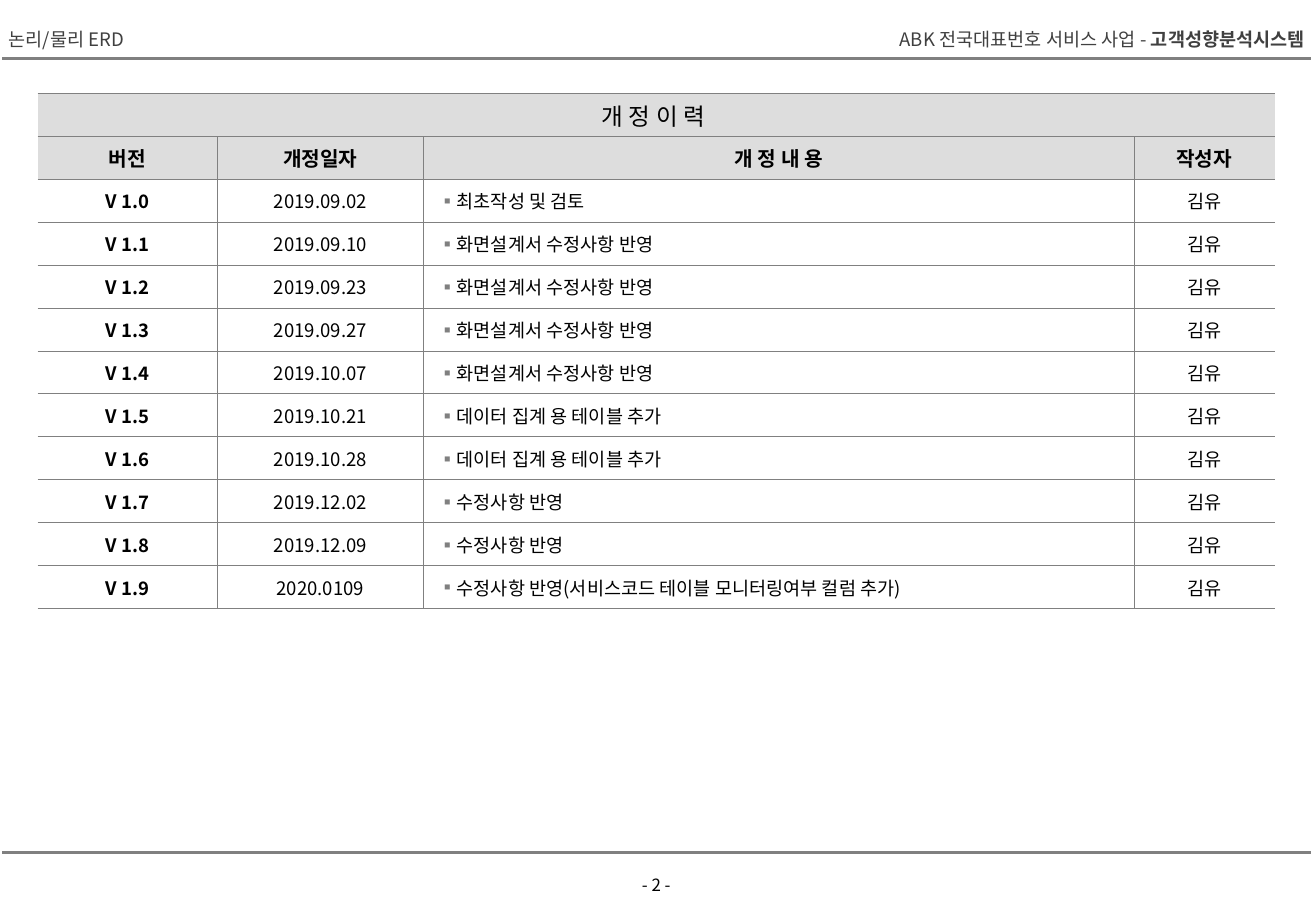
"""Build the revision history slide of an ERD document."""
from lxml import etree
from pptx import Presentation
from pptx.dml.color import RGBColor
from pptx.enum.shapes import MSO_CONNECTOR
from pptx.enum.text import MSO_ANCHOR, MSO_AUTO_SIZE, PP_ALIGN
from pptx.oxml.ns import qn
from pptx.util import Inches, Pt

STRAIGHT = MSO_CONNECTOR.STRAIGHT
TOP, MIDDLE, BOTTOM = MSO_ANCHOR.TOP, MSO_ANCHOR.MIDDLE, MSO_ANCHOR.BOTTOM
GROW, FIXED = MSO_AUTO_SIZE.SHAPE_TO_FIT_TEXT, MSO_AUTO_SIZE.NONE
LEFT, CENTER, RIGHT, JUSTIFY = PP_ALIGN.LEFT, PP_ALIGN.CENTER, PP_ALIGN.RIGHT, PP_ALIGN.JUSTIFY
FONT = "Noto Sans CJK KR"
COLORS = {"rule": "808080", "header": "404040", "text": "000000",
          "heading": "DDDDDD", "body": "FFFFFF"}


def format_run(run, size, color, bold=False):
    run.font.size = Pt(size)
    run.font.bold = bold
    run.font.name = FONT
    run.font.color.rgb = RGBColor.from_string(COLORS[color])
    etree.SubElement(run.font._element, qn("a:ea"), typeface=FONT)


def add_border(cell, side, width):
    line = etree.SubElement(cell._tc.get_or_add_tcPr(), qn(f"a:ln{side}"), w=str(Pt(width)))
    if width:
        fill = etree.SubElement(line, qn("a:solidFill"))
        etree.SubElement(fill, qn("a:srgbClr"), val=COLORS["rule"])
    else:
        etree.SubElement(line, qn("a:noFill"))


prs = Presentation()
prs.slide_width, prs.slide_height = Inches(10.84), Inches(7.5)
slide = prs.slides.add_slide(prs.slide_layouts[6])

for rule_y in (7.02, 0.48):
    rule = slide.shapes.add_connector(
        STRAIGHT, Inches(0.02), Inches(rule_y), Inches(10.8), Inches(rule_y))
    rule.line.width = Pt(1.5)
    rule.line.color.rgb = RGBColor.from_string(COLORS["rule"])
    etree.SubElement(rule._element.spPr, qn("a:effectLst"))

margin_texts = [
    ((0.03, 0.19, 1.63, 0.26), JUSTIFY, TOP, GROW, 11, "header", [("논리/물리 ERD", False)]),
    ((6.92, 0.19, 3.87, 0.26), RIGHT, TOP, GROW, 11, "header",
     [("ABK 전국대표번호 서비스 사업 - ", False), ("고객성향분석시스템", True)]),
    ((4.66, 7.11, 1.49, 0.3), CENTER, BOTTOM, FIXED, 10, "text", [("- 2 -", False)]),
]
for place, align, anchor, sizing, size, color, parts in margin_texts:
    frame = slide.shapes.add_textbox(*map(Inches, place)).text_frame
    frame.word_wrap = True
    frame.auto_size = sizing
    frame.vertical_anchor = anchor
    frame.margin_left = frame.margin_right = Inches(0.04)
    frame.margin_top = frame.margin_bottom = Inches(0.04)
    paragraph = frame.paragraphs[0]
    paragraph.alignment = align
    for words, bold in parts:
        run = paragraph.add_run()
        run.text = words
        format_run(run, size, color, bold)

screen_change = "화면설계서 수정사항 반영"
table_added = "데이터 집계 용 테이블 추가"
changes = [
    ("2019.09.02", "최초작성 및 검토"),
    ("2019.09.10", screen_change),
    ("2019.09.23", screen_change),
    ("2019.09.27", screen_change),
    ("2019.10.07", screen_change),
    ("2019.10.21", table_added),
    ("2019.10.28", table_added),
    ("2019.12.02", "수정사항 반영"),
    ("2019.12.09", "수정사항 반영"),
    ("2020.0109", "수정사항 반영(서비스코드 테이블 모니터링여부 컬럼 추가)"),
]
rows = [("개 정 이 력 ", "", "", ""), ("버전", "개정일자", "개 정 내 용", "작성자")]
rows += [(f"V 1.{i}", date, change, "김유") for i, (date, change) in enumerate(changes)]
column_widths = (1.48, 1.7, 5.85, 1.16)
last_row, last_column = len(rows) - 1, len(column_widths) - 1

history = slide.shapes.add_table(
    len(rows), len(column_widths), Inches(0.31), Inches(0.77), Inches(10.2), Inches(4.24)).table
history.first_row = history.horz_banding = False
for column, width in zip(history.columns, column_widths):
    column.width = Inches(width)
history.cell(0, 0).merge(history.cell(0, last_column))

for r, row in enumerate(rows):
    history.rows[r].height = Inches(4.24 / len(rows))
    for c, words in enumerate(row):
        cell = history.cell(r, c)
        cell.vertical_anchor = MIDDLE
        cell.margin_left = cell.margin_right = Inches(0.02)
        cell.margin_top = cell.margin_bottom = Inches(0.05 if r else 0.02)
        add_border(cell, "L", 0.45 if r and c else 0)
        add_border(cell, "R", 0.45 if r and c < last_column else 0)
        add_border(cell, "T", 0.45 if r else 0.75)
        add_border(cell, "B", 0.45 if r < last_row else 0.75)
        cell.fill.solid()
        cell.fill.fore_color.rgb = RGBColor.from_string(COLORS["heading" if r < 2 else "body"])
        if not words:
            continue
        paragraph = cell.text_frame.paragraphs[0]
        paragraph.text = words
        paragraph.alignment = CENTER
        if r > 1 and c == 2:
            paragraph.alignment = LEFT
            props = paragraph._p.get_or_add_pPr()
            props.set("marL", str(Inches(0.19)))
            props.set("indent", str(Inches(-0.09)))
            bullet_color = etree.SubElement(props, qn("a:buClr"))
            etree.SubElement(bullet_color, qn("a:srgbClr"), val=COLORS["rule"])
            etree.SubElement(props, qn("a:buFont"), typeface=FONT)
            etree.SubElement(props, qn("a:buChar"), char="▪")
        size = (14, 12)[r] if r < 2 else 11
        format_run(paragraph.runs[0], size, "text", r == 1 or (r > 1 and c == 0))

prs.save("out.pptx")
